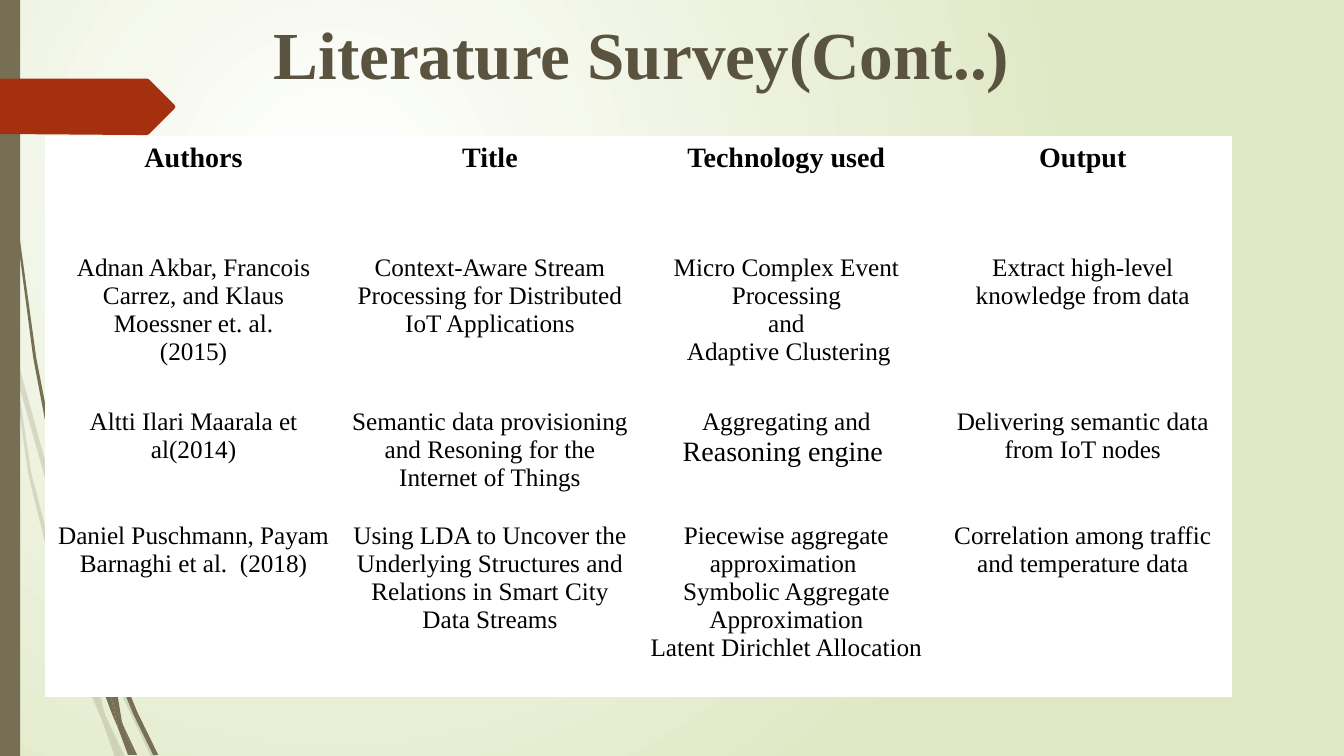
from dataclasses import dataclass

from lxml import etree
from pptx import Presentation, util as u
from pptx.dml.color import RGBColor
from pptx.enum import shapes, text
from pptx.oxml.ns import qn

# All lengths count cells of a grid of 1/100 inch
CELL = u.Inches(0.01)
WIDE, HIGH = 1333, 750
FACE = "Times New Roman"
OLIVE, RUST, WHITE, BLACK = "766F54", "A53010", "FFFFFF", "000000"


@dataclass
class Wisp:
    alpha: int
    blades: list[str]


@dataclass
class Entry:
    lines: str
    big: str = ""


@dataclass
class Row:
    high: int
    size: int
    bold: bool
    cells: list[Entry]


# Blades of grass: corner points as x,y
PALE = Wisp(20, [
    "11,350 9,322 0,282 0,299 10,344",
    "58,522 84,599 85,586 62,520 14,345 17,376",
    "92,607 88,596 88,610 123,694 150,751 155,751 127,692",
    "119,751 124,751 105,711",
    "93,683 70,619 31,469 17,376 11,350 28,470 65,621 92,693 101,714 99,707",
    "84,599 87,646 93,683 96,692 105,711 103,706 91,646 88,610 88,608",
    "88,584 110,462 160,349 229,245 268,198 290,175 312,154 312,153 289,175 "
    "268,197 228,244 158,348 107,461 85,584 85,586 88,596",
    "101,714 114,751 119,751",
    "88,608 88,610 88,596 85,586 84,599",
    "96,692 93,683 99,707 101,714 119,751 105,711",
])
DARK = Wisp(100, [
    "7,110 17,233 33,355 56,477 57,481 55,457 55,453 36,355 19,232 8,109 "
    "5,48 4,0 3,0 4,48",
    "88,592 106,645 106,633 106,631 93,590 60,472 64,505",
    "113,649 110,641 111,656 132,708 152,749 157,749 136,706",
    "110,691 98,657 72,556 64,505 57,477 68,557 93,659 111,708 117,722 116,717",
    "60,472 58,453 54,349 58,245 63,193 70,141 62,193 56,245 52,349 55,449",
    "133,749 136,749 122,719",
    "57,477 64,505 60,472 55,449 55,453",
    "111,633 125,552 158,476 205,406 231,374 245,359 261,344 260,344 245,358 "
    "231,373 204,405 156,474 122,551 106,631 110,641",
    "117,722 127,749 131,749",
    "106,645 110,691 116,706 122,719 121,716 111,656 109,651",
    "106,645 109,651 111,656 110,641 106,631 106,633",
    "116,706 110,691 116,717 117,722 130,749 133,749 122,719",
])
ARROW = "173,108 148,133 146,134 136,134 0,133 0,78 146,78 148,79 173,104 174,106"

# Survey table
COLS = [294] * 4
ROWS = [
    Row(111, 20, True, [Entry("Authors"), Entry("Title"),
                        Entry("Technology used"), Entry("Output")]),
    Row(153, 18, False, [
        Entry("Adnan Akbar, Francois Carrez, and Klaus Moessner et. al.\n(2015)"),
        Entry("Context-Aware Stream Processing for Distributed\nIoT Applications"),
        Entry("Micro Complex Event Processing\nand\n Adaptive Clustering"),
        Entry("Extract high-level knowledge from data")]),
    Row(113, 18, False, [
        Entry("Altti Ilari Maarala et al(2014)"),
        Entry("Semantic data provisioning and Resoning for the Internet of Things"),
        Entry("Aggregating and ", "Reasoning engine "),
        Entry("Delivering semantic data from IoT nodes")]),
    Row(178, 18, False, [
        Entry("Daniel Puschmann, Payam Barnaghi et al.  (2018)"),
        Entry("Using LDA to Uncover the Underlying Structures and Relations "
              "in Smart City Data Streams"),
        Entry("Piecewise aggregate approximation \n"
              "Symbolic Aggregate Approximation\nLatent Dirichlet Allocation"),
        Entry("Correlation among traffic and temperature data")]),
]


def grid(*cells: int) -> list[int]:
    return [n * CELL for n in cells]


def tint(fill, color: str, alpha: int = 100) -> None:
    fill.solid()
    fill.fore_color.rgb = RGBColor.from_string(color)
    if alpha < 100:
        node = fill._xPr.find(".//" + qn("a:srgbClr"))
        etree.SubElement(node, qn("a:alpha"), val=str(alpha * 1000))


def paint(shape, color: str, alpha: int = 100) -> None:
    tint(shape.fill, color, alpha)
    shape.line.fill.background()
    shape.shadow.inherit = False


def trace(tree, points: str, color: str, alpha: int = 100) -> None:
    first, *rest = [tuple(map(int, p.split(","))) for p in points.split()]
    form = tree.build_freeform(*first, scale=CELL)
    form.add_line_segments(rest, close=True)
    paint(form.convert_to_shape(), color, alpha)


def style(para, size: int, color: str, bold: bool) -> None:
    para.alignment = text.PP_ALIGN.CENTER
    font = para.font
    font.name, font.size, font.bold = FACE, u.Pt(size), bold
    font.color.rgb = RGBColor.from_string(color)


def glow(slide) -> None:
    fill = slide.background.fill
    fill.gradient()
    for stop, color in zip(fill.gradient_stops, (WHITE, "DFE8C4")):
        stop.color.rgb = RGBColor.from_string(color)
    line = slide._element.find(".//" + qn("a:lin"))
    ring = etree.Element(qn("a:path"), {"path": "circle"})
    etree.SubElement(ring, qn("a:fillToRect"),
                     l="50000", t="50000", r="100000", b="100000")
    line.getparent().replace(line, ring)


def edge(cell, color: str) -> None:
    props = cell._tc.get_or_add_tcPr()
    for side in "LRTB":
        line = etree.SubElement(props, qn(f"a:ln{side}"), w=str(u.Pt(1)))
        solid = etree.SubElement(line, qn("a:solidFill"))
        etree.SubElement(solid, qn("a:srgbClr"), val=color)


def enter(cell, entry: Entry, row: Row) -> None:
    edge(cell, WHITE)
    tint(cell.fill, WHITE)
    cell.text = entry.lines
    for para in cell.text_frame.paragraphs:
        style(para, row.size, BLACK, row.bold)
    if entry.big:
        run = cell.text_frame.paragraphs[-1].add_run()
        run.text, run.font.size = entry.big, u.Pt(20)


def survey(slide) -> None:
    high = sum(row.high for row in ROWS)
    frame = slide.shapes.add_table(len(ROWS), len(COLS),
                                   *grid(45, 136, sum(COLS), high))
    table = frame.table
    table.first_row = table.horz_banding = False
    for col, wide in zip(table.columns, COLS):
        col.width = wide * CELL
    for line, row in zip(table.rows, ROWS):
        line.height = row.high * CELL
        for cell, entry in zip(line.cells, row.cells):
            enter(cell, entry, row)


def main() -> None:
    deck = Presentation()
    deck.slide_width, deck.slide_height = grid(WIDE, HIGH)
    slide = deck.slides.add_slide(deck.slide_layouts[6])
    glow(slide)

    # Grass, side bar and arrow
    for wisp in (PALE, DARK):
        group = slide.shapes.add_group_shape()
        for blade in wisp.blades:
            trace(group.shapes, blade, OLIVE, wisp.alpha)
    bar = slide.shapes.add_shape(shapes.MSO_SHAPE.RECTANGLE, *grid(0, 0, 20, HIGH))
    paint(bar, OLIVE)
    trace(slide.shapes, ARROW, RUST)

    # Title
    frame = slide.shapes.add_textbox(*grid(122, 0, 1029, 126)).text_frame
    frame.word_wrap = True
    frame.margin_top = 12 * CELL
    frame.text = "Literature Survey(Cont..)"
    style(frame.paragraphs[0], 48, "59533F", True)

    survey(slide)
    deck.save("out.pptx")


if __name__ == "__main__":
    main()
